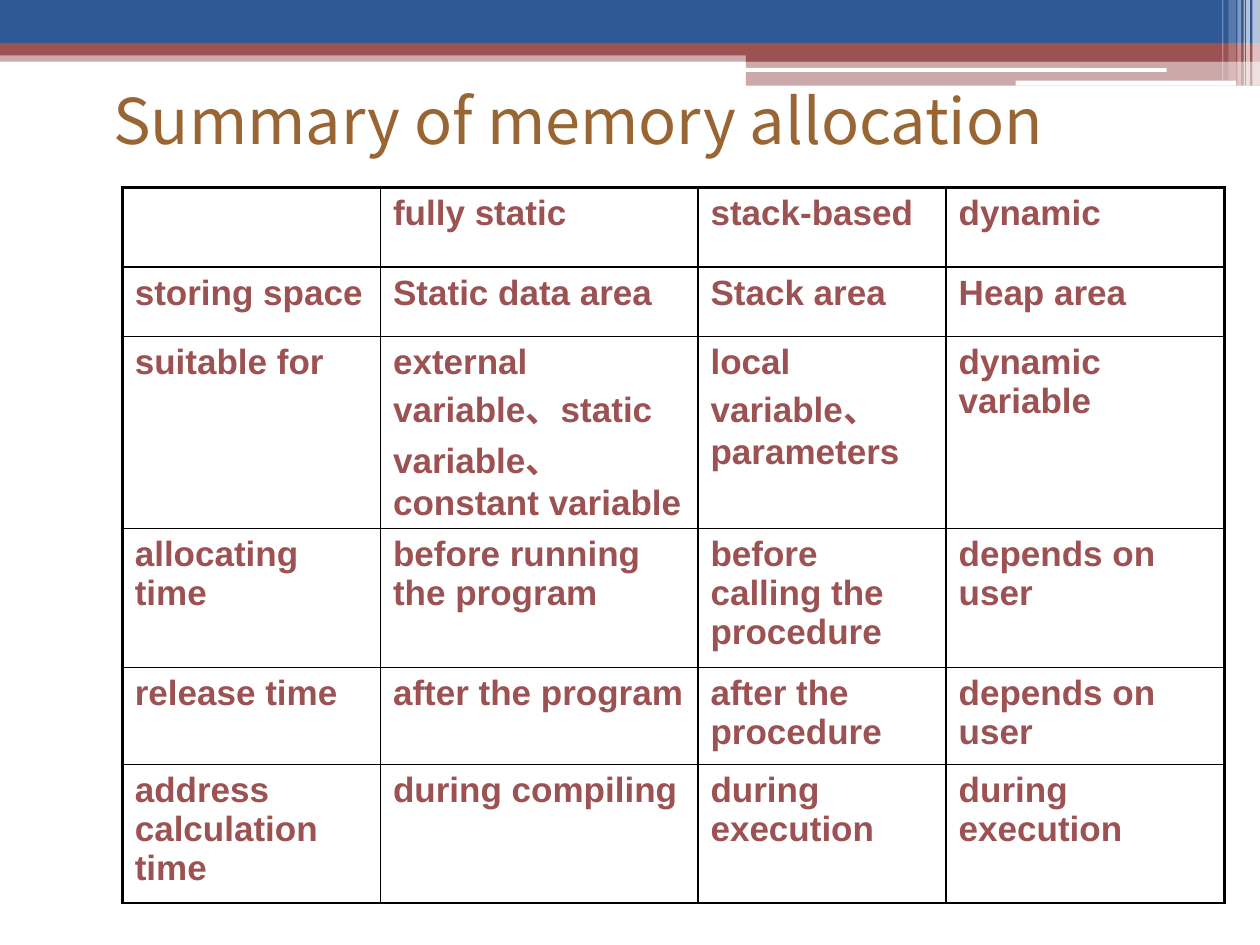
from dataclasses import dataclass
from typing import Any, Optional

from lxml.etree import SubElement
from pptx import Presentation
from pptx.dml.color import RGBColor as Rgb
from pptx.enum.shapes import MSO_SHAPE as Shape
from pptx.enum.text import MSO_ANCHOR as Anchor, PP_ALIGN as Align
from pptx.oxml import parse_xml
from pptx.oxml.ns import nsdecls, qn
from pptx.util import Inches, Pt


@dataclass(frozen=True)
class Theme:
    blue: str = "2F5897"
    red: str = "9C5252"
    white: str = "FFFFFF"
    brown: str = "996633"
    black: str = "000000"
    title_font: str = "Noto Sans CJK SC"
    cell_font: str = "Arial"
    title_size: int = 36
    cell_size: int = 20
    outer_line: float = 2.25
    inner_line: float = 1


@dataclass(frozen=True)
class Bar:
    left: float
    top: float
    width: float
    height: float
    color: str
    opacity: Optional[int] = None
    outline: Shape = Shape.RECTANGLE


THEME = Theme()

BANNER = [
    Bar(0, 0.4, 10, 0.09, THEME.red, 50),
    Bar(0, 0, 10, 0.34, THEME.blue),
    Bar(0, 0.34, 10, 0.1, THEME.red),
    Bar(5.92, 0.39, 4.08, 0.1, THEME.red),
    Bar(5.92, 0.48, 4.08, 0.2, THEME.red, 50),
    Bar(5.91, 0.54, 3.35, 0.03, THEME.white, outline=Shape.ROUNDED_RECTANGLE),
    Bar(8.06, 0.64, 1.75, 0.04, THEME.white, outline=Shape.ROUNDED_RECTANGLE),
]
# Upright stripes at the right edge: left, width, height, opacity
STRIPES = [
    Bar(left, 0, width, height, THEME.white, opacity)
    for left, width, height, opacity in [
        (9.94, 0.06, 0.68, 65), (9.89, 0.03, 0.68, 65), (9.87, 0.01, 0.68, 60),
        (9.82, 0.03, 0.68, 40), (9.75, 0.06, 0.64, 20), (9.7, 0.01, 0.64, 30),
    ]
]

COLUMN_WIDTHS = [2.05, 2.52, 1.97, 2.21]
ROW_HEIGHTS = [0.63, 0.55, 1.1, 1.1, 0.77, 1.1]
ALLOCATION = [
    ["", "fully static", "stack-based", "dynamic"],
    ["storing space", "Static data area", "Stack area", "Heap area"],
    ["suitable for", "external variable、static variable、constant variable",
     "local variable、parameters", "dynamic variable"],
    ["allocating time", "before running the program",
     "before calling the procedure", "depends on user"],
    ["release time", "after the program", "after the procedure", "depends on user"],
    ["address calculation time", "during compiling", "during execution",
     "during execution"],
]


def apply_format(target: Any, values: dict) -> None:
    for name, value in values.items():
        setattr(target, name, value)


def style_font(font: Any, color: str, **values: Any) -> None:
    apply_format(font, values)
    font.color.rgb = Rgb.from_string(color)


def draw_bar(slide: Any, bar: Bar) -> None:
    box = map(Inches, (bar.left, bar.top, bar.width, bar.height))
    stripe = slide.shapes.add_shape(bar.outline, *box)
    stripe.shadow.inherit = False
    stripe.line.fill.background()
    stripe.fill.solid()
    stripe.fill.fore_color.rgb = Rgb.from_string(bar.color)
    if bar.opacity is not None:
        color = stripe._element.spPr.find(f"{qn('a:solidFill')}/{qn('a:srgbClr')}")
        SubElement(color, qn("a:alpha"), val=str(bar.opacity * 1000))


def place_title(slide: Any, wording: str) -> None:
    title = slide.shapes.title
    slide.shapes._spTree.append(title._element)  # in front of the banner
    apply_format(title, dict(left=Inches(0.8), top=Inches(0.86),
                             width=Inches(9), height=Inches(0.72)))
    frame = title.text_frame
    apply_format(frame, dict(text=wording, word_wrap=True, margin_top=0,
                             margin_bottom=Inches(0.33),
                             vertical_anchor=Anchor.BOTTOM))
    frame.paragraphs[0].alignment = Align.LEFT
    style_font(frame.paragraphs[0].runs[0].font, THEME.brown,
               name=THEME.title_font, size=Pt(THEME.title_size), bold=False)


def set_borders(cell: Any, widths: dict[str, float]) -> None:
    properties = cell._tc.get_or_add_tcPr()
    for position, (side, width) in enumerate(widths.items()):
        properties.insert(position, parse_xml(
            f'<a:ln{side} {nsdecls("a")} w="{Pt(width)}"><a:solidFill>'
            f'<a:srgbClr val="{THEME.black}"/></a:solidFill></a:ln{side}>'))


def fill_cell(cell: Any, wording: str) -> None:
    cell.fill.background()
    if not wording:
        return
    cell.text = wording
    paragraph = cell.text_frame.paragraphs[0]
    spacing = SubElement(paragraph._p.get_or_add_pPr(), qn("a:spcBef"))
    SubElement(spacing, qn("a:spcPct"), val="20000")
    style_font(paragraph.runs[0].font, THEME.red, name=THEME.cell_font,
               size=Pt(THEME.cell_size), bold=True)


def draw_table(slide: Any) -> None:
    table = slide.shapes.add_table(
        len(ROW_HEIGHTS), len(COLUMN_WIDTHS), Inches(0.97), Inches(1.49),
        Inches(sum(COLUMN_WIDTHS)), Inches(sum(ROW_HEIGHTS))).table
    apply_format(table, dict(first_row=False, horz_banding=False))
    for column, width in zip(table.columns, COLUMN_WIDTHS):
        column.width = Inches(width)
    for row, height in zip(table.rows, ROW_HEIGHTS):
        row.height = Inches(height)

    outer, inner = THEME.outer_line, THEME.inner_line
    last_column = len(COLUMN_WIDTHS) - 1
    for r, wordings in enumerate(ALLOCATION):
        for c, wording in enumerate(wordings):
            cell = table.cell(r, c)
            fill_cell(cell, wording)
            set_borders(cell, {
                "L": outer if c == 0 else inner,
                "R": outer if c == last_column else inner,
                "T": outer if r == 0 else inner,
                "B": inner,
            })


def main() -> None:
    deck = Presentation()
    apply_format(deck, dict(slide_width=Inches(10), slide_height=Inches(7.5)))
    slide = deck.slides.add_slide(deck.slide_layouts[5])  # title only

    # Banner across the top
    for bar in BANNER + STRIPES:
        draw_bar(slide, bar)

    # Heading and comparison table
    place_title(slide, "Summary of memory allocation")
    draw_table(slide)
    deck.save("out.pptx")


if __name__ == "__main__":
    main()
